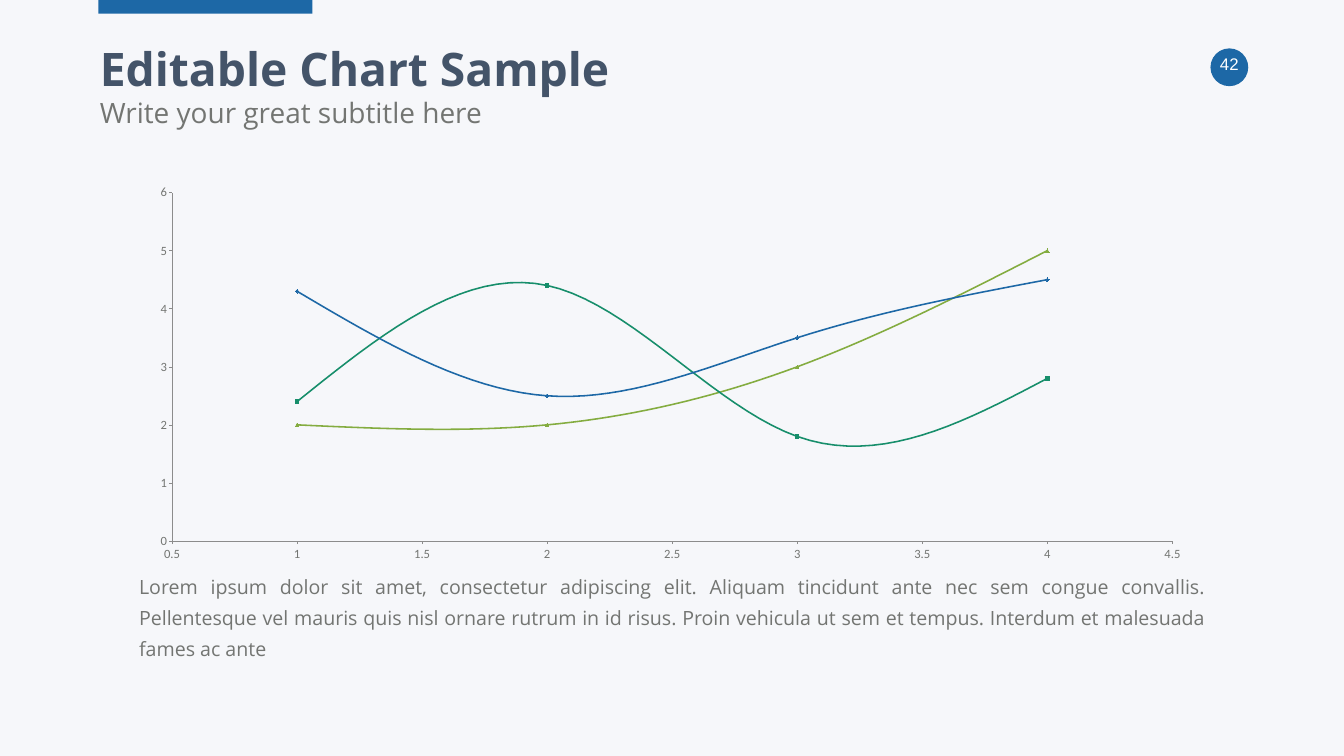
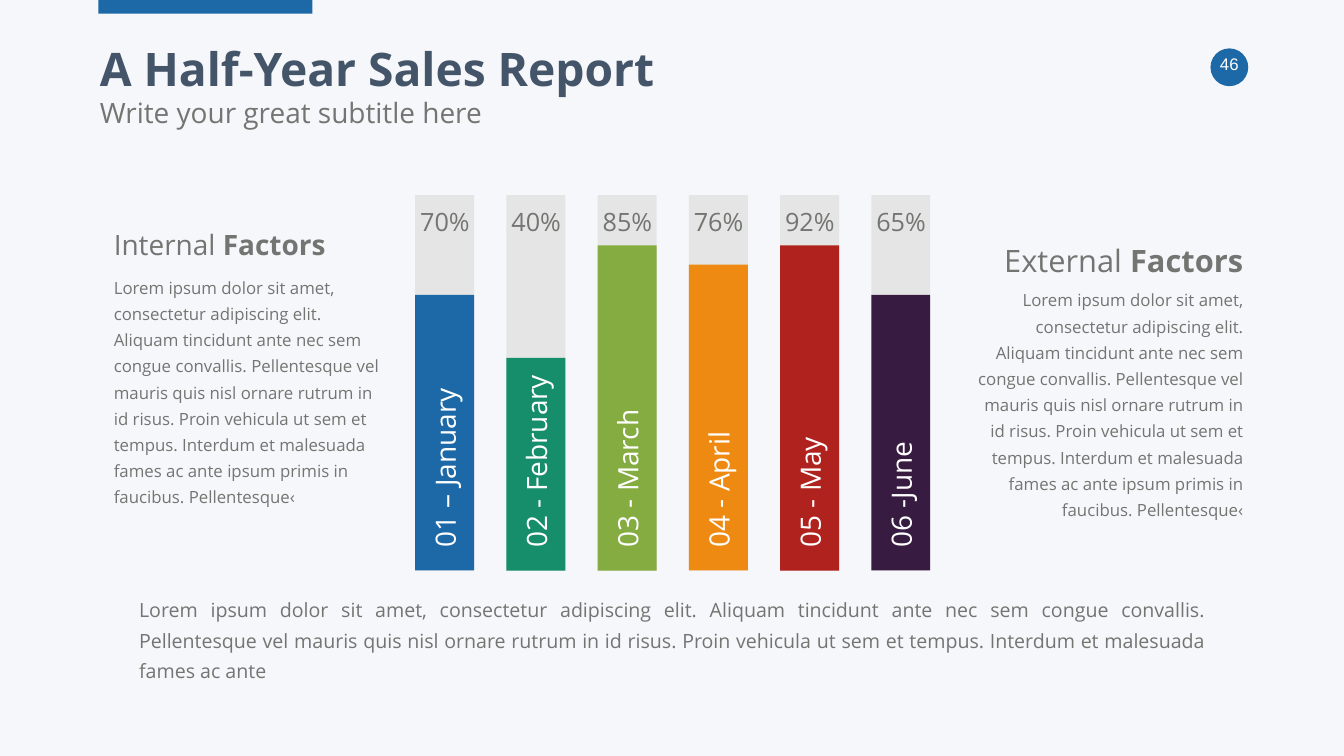
from dataclasses import dataclass

import pptx
import pptx.chart.data
import pptx.dml.color
import pptx.enum.chart
import pptx.enum.shapes
import pptx.enum.text
import pptx.oxml
import pptx.oxml.ns
import pptx.util
from pptx.util import Inches

COLORS = {
    "background": "F6F7FA",
    "title": "445469",
    "text": "737572",
    "white": "FFFFFF",
    "track": "E5E5E5",
    "axis": "8C8C8C",
    "blue": "1D68A6",
    "teal": "178E6B",
    "green": "84AC40",
    "orange": "EE8A12",
    "red": "B0221D",
    "purple": "381B41",
}
FONT = "Open Sans"
ALIGN = pptx.enum.text.PP_ALIGN
ANCHOR = pptx.enum.text.MSO_ANCHOR
FIT = pptx.enum.text.MSO_AUTO_SIZE
SHAPE = pptx.enum.shapes.MSO_SHAPE
MARKER = pptx.enum.chart.XL_MARKER_STYLE

SUBTITLE = "Write your great subtitle here"
OPENING = (
    "Lorem ipsum dolor sit amet, consectetur adipiscing elit. Aliquam tincidunt ante nec sem "
    "congue convallis. Pellentesque vel mauris quis nisl ornare rutrum in id risus. Proin "
    "vehicula ut sem et tempus. Interdum et malesuada fames ac ante"
)
FACTOR_TEXT = OPENING + " ipsum primis in faucibus. Pellentesque‹"


@dataclass(frozen=True)
class Box:
    left: float
    top: float
    width: float
    height: float

    def lengths(self) -> tuple:
        return tuple(Inches(n) for n in (self.left, self.top, self.width, self.height))


@dataclass(frozen=True)
class Run:
    text: str
    size: float
    color: str = "text"
    bold: bool = False
    font: str = FONT


@dataclass(frozen=True)
class Style:
    align: ALIGN = ALIGN.LEFT
    anchor: ANCHOR = ANCHOR.MIDDLE
    side_inset: float = 0.1
    end_inset: float = 0.05
    spacing: float = 1.0
    fit: FIT = FIT.SHAPE_TO_FIT_TEXT


@dataclass(frozen=True)
class Month:
    label: str
    percent: str
    color: str
    bar_height: float
    label_length: float


@dataclass(frozen=True)
class Factor:
    word: str
    size: float
    align: ALIGN
    heading: Box
    body: Box


@dataclass(frozen=True)
class Curve:
    name: str
    values: tuple
    color: str
    marker: MARKER


HEADER = Style(anchor=ANCHOR.TOP, fit=FIT.NONE)
CAPTION = Style(align=ALIGN.JUSTIFY, side_inset=0.3, end_inset=0.15, spacing=1.3)
MONTH_LABEL = Style(side_inset=0.27, end_inset=0)
PERCENT = Style(align=ALIGN.CENTER, side_inset=0.27, end_inset=0)

CURVES = (
    Curve("Series 1", (4.3, 2.5, 3.5, 4.5), "blue", MARKER.DIAMOND),
    Curve("Series 2", (2.4, 4.4, 1.8, 2.8), "teal", MARKER.SQUARE),
    Curve("Series 3", (2, 2, 3, 5), "green", MARKER.TRIANGLE),
)
MONTHS = (
    Month("01 – January", "70%", "blue", 5.47, 5.9),
    Month("02 - February", "40%", "teal", 4.22, 5.9),
    Month("03 - March", "85%", "green", 6.45, 5.74),
    Month("04 - April", "76%", "orange", 6.07, 5.43),
    Month("05 - May", "92%", "red", 6.45, 5.28),
    Month("06 -June", "65%", "purple", 5.47, 5.74),
)
FACTORS = (
    Factor("Internal ", 40, ALIGN.LEFT, Box(2.16, 4.52, 5.64, 0.67), Box(2.16, 5.32, 5.64, 4.81)),
    Factor("External ", 44, ALIGN.RIGHT, Box(19.13, 4.8, 5.64, 0.74), Box(19.13, 5.57, 5.64, 4.81)),
)
BAR_LEFT, BAR_PITCH, BAR_WIDTH = 8.24, 1.81, 1.17
TRACK_TOP, TRACK_HEIGHT = 3.87, 7.45
LABEL_END = 11.13


def rgb(name: str) -> pptx.dml.color.RGBColor:
    """Return the named palette colour."""
    return pptx.dml.color.RGBColor.from_string(COLORS[name])


def write(shape, box: Box, runs: list[Run], style: Style) -> None:
    """Place a text shape and fill its single paragraph."""
    shape.left, shape.top, shape.width, shape.height = box.lengths()
    frame = shape.text_frame
    frame.word_wrap = True
    frame.auto_size = style.fit
    frame.vertical_anchor = style.anchor
    frame.margin_left = frame.margin_right = Inches(style.side_inset)
    frame.margin_top = frame.margin_bottom = Inches(style.end_inset)
    paragraph = frame.paragraphs[0]
    paragraph.alignment = style.align
    paragraph.line_spacing = style.spacing
    paragraph.space_before = pptx.util.Pt(0)
    for item in runs:
        run = paragraph.add_run()
        run.text = item.text
        run.font.name = item.font
        run.font.size = pptx.util.Pt(item.size)
        run.font.bold = item.bold
        run.font.color.rgb = rgb(item.color)


def add_text(shapes, box: Box, runs: list[Run], style: Style):
    """Add a text box and return it."""
    text_box = shapes.add_textbox(*box.lengths())
    write(text_box, box, runs, style)
    return text_box


def add_block(shapes, kind: SHAPE, box: Box, color: str) -> None:
    """Add a flat filled shape without outline."""
    shape = shapes.add_shape(kind, *box.lengths())
    shape.shadow.inherit = False
    shape.fill.solid()
    shape.fill.fore_color.rgb = rgb(color)
    shape.line.fill.background()


def add_slide(presentation, title: str, number: str, caption_top: float):
    """Add a slide with the shared header, page badge and caption."""
    slide = presentation.slides.add_slide(presentation.slide_layouts[0])
    slide.background.fill.solid()
    slide.background.fill.fore_color.rgb = rgb("background")
    shapes = slide.shapes
    add_block(shapes, SHAPE.OVAL, Box(24.02, 0.96, 0.75, 0.75), "blue")
    badge = Style(align=ALIGN.CENTER, anchor=ANCHOR.TOP, fit=FIT.NONE)
    add_text(shapes, Box(23.81, 1.02, 1.17, 0.8), [Run(number, 24, "white", font="Arial")], badge)
    add_block(shapes, SHAPE.RECTANGLE, Box(1.95, 0, 4.25, 0.27), "blue")
    write(shapes.title, Box(1.88, 0.74, 22.9, 1.24), [Run(title, 66, "title", True)], HEADER)
    write(slide.placeholders[1], Box(1.88, 1.84, 22.9, 0.93), [Run(SUBTITLE, 40)], HEADER)
    add_text(shapes, Box(2.46, caption_top, 21.75, 1.51), [Run(OPENING, 28)], CAPTION)
    return slide


def format_axis(axis, minimum: float, maximum: float, step: float) -> None:
    """Set the scale and the plain look of an axis."""
    axis.minimum_scale, axis.maximum_scale, axis.major_unit = minimum, maximum, step
    axis.has_major_gridlines = False
    axis.major_tick_mark = pptx.enum.chart.XL_TICK_MARK.OUTSIDE
    axis.minor_tick_mark = pptx.enum.chart.XL_TICK_MARK.NONE
    axis.format.line.color.rgb = rgb("axis")
    axis.format.line.width = pptx.util.Pt(0.75)


def set_plot_area(chart, area: Box) -> None:
    """Fix the inner plot area as fractions of the chart."""
    plot_area = chart._chartSpace.chart.plotArea
    for old in plot_area.findall(pptx.oxml.ns.qn("c:layout")):
        plot_area.remove(old)
    sizes = zip("xywh", (area.left, area.top, area.width, area.height))
    modes = "".join(f'<c:{side}Mode val="edge"/>' for side in "xy")
    values = "".join(f'<c:{side} val="{value}"/>' for side, value in sizes)
    plot_area.insert(0, pptx.oxml.parse_xml(
        f'<c:layout {pptx.oxml.ns.nsdecls("c")}><c:manualLayout>'
        f'<c:layoutTarget val="inner"/>{modes}{values}</c:manualLayout></c:layout>'
    ))


def add_curves(slide) -> None:
    """Add the smooth scatter chart."""
    data = pptx.chart.data.XyChartData()
    for curve in CURVES:
        series = data.add_series(curve.name)
        for x, y in enumerate(curve.values, 1):
            series.add_data_point(x, y)
    kind = pptx.enum.chart.XL_CHART_TYPE.XY_SCATTER_SMOOTH
    chart = slide.shapes.add_chart(kind, *Box(2.78, 3.51, 21.12, 7.77).lengths(), data).chart
    chart.has_legend = False
    chart.has_title = False
    chart.font.name = "Calibri"
    chart.font.size = pptx.util.Pt(18)
    chart.font.color.rgb = rgb("text")
    chart.plots[0].vary_by_categories = False
    format_axis(chart.category_axis, 0.5, 4.5, 0.5)
    format_axis(chart.value_axis, 0, 6, 1)
    set_plot_area(chart, Box(0.03, 0.04, 0.94, 0.89))
    for curve, series in zip(CURVES, chart.plots[0].series):
        series.format.line.color.rgb = rgb(curve.color)
        series.format.line.width = pptx.util.Pt(2.25)
        series.marker.style = curve.marker
        series.marker.size = 5
        series.marker.format.fill.solid()
        series.marker.format.fill.fore_color.rgb = rgb(curve.color)
        series.marker.format.line.color.rgb = rgb(curve.color)
        series._element.find(pptx.oxml.ns.qn("c:smooth")).set("val", "1")


def add_month(slide, index: int, month: Month) -> None:
    """Add one month's track, bar, label and percentage."""
    left = BAR_LEFT + index * BAR_PITCH
    center = left + BAR_WIDTH / 2
    bar_top = TRACK_TOP + TRACK_HEIGHT - month.bar_height
    track = Box(left, TRACK_TOP, BAR_WIDTH, TRACK_HEIGHT)
    add_block(slide.shapes, SHAPE.RECTANGLE, track, "track")
    bar = Box(left, bar_top, BAR_WIDTH, month.bar_height)
    add_block(slide.shapes, SHAPE.RECTANGLE, bar, month.color)
    length, height = month.label_length, 0.67
    label_box = Box(center - length / 2, LABEL_END - (length + height) / 2, length, height)
    label = add_text(slide.shapes, label_box, [Run(month.label, 40, "white")], MONTH_LABEL)
    label.rotation = 270
    percent_box = Box(center - 0.85, 4.08, 1.71, 0.63)
    add_text(slide.shapes, percent_box, [Run(month.percent, 36)], PERCENT)


def add_factor(slide, factor: Factor) -> None:
    """Add a grouped heading and paragraph beside the bars."""
    shapes = slide.shapes.add_group_shape().shapes
    heading = [Run(factor.word, factor.size), Run("Factors", factor.size, bold=True)]
    add_text(shapes, factor.heading, heading, Style(align=factor.align, end_inset=0))
    add_text(shapes, factor.body, [Run(FACTOR_TEXT, 24)], Style(align=factor.align, spacing=1.3))


def main() -> None:
    """Build and save the presentation."""
    presentation = pptx.Presentation()
    presentation.slide_width = Inches(26.67)
    presentation.slide_height = Inches(15)
    add_curves(add_slide(presentation, "Editable Chart Sample", "42", 11.43))
    report = add_slide(presentation, "A Half-Year Sales Report", "46", 11.88)
    for index, month in enumerate(MONTHS):
        add_month(report, index, month)
    for factor in FACTORS:
        add_factor(report, factor)
    presentation.save("out.pptx")


if __name__ == "__main__":
    main()
